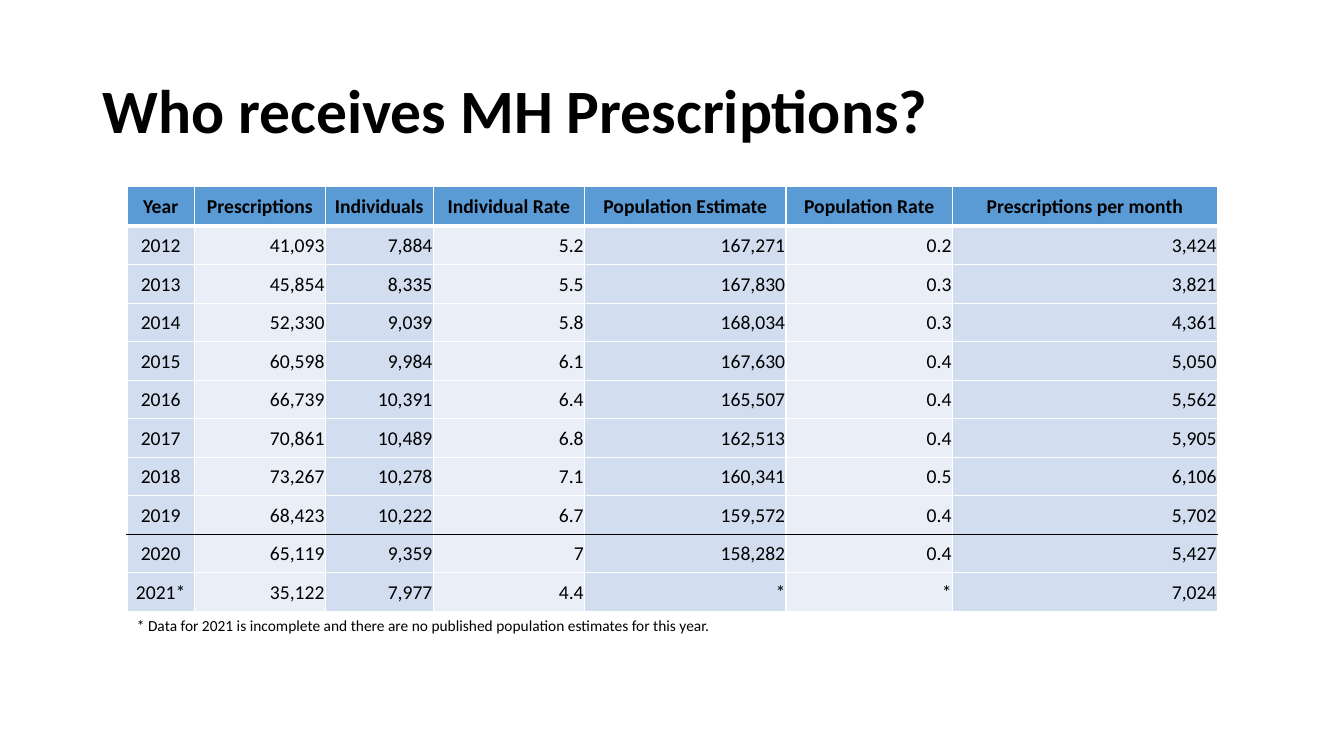
from dataclasses import dataclass

import pptx
import pptx.dml.color
import pptx.enum.text
import pptx.oxml
import pptx.oxml.ns
import pptx.util

Cm = pptx.util.Cm
Pt = pptx.util.Pt
Align = pptx.enum.text.PP_ALIGN
Anchor = pptx.enum.text.MSO_ANCHOR


@dataclass(frozen=True)
class Theme:
    font: str = "Calibri"
    ink: str = "000000"
    header: str = "5B9BD5"
    bands: tuple = ("D2DEEF", "EAEFF7")
    grid: str = "FFFFFF"
    title_size: int = 44
    table_size: int = 14
    note_size: int = 11


THEME = Theme()

HEADINGS = ["Year", "Prescriptions", "Individuals", "Individual Rate",
            "Population Estimate", "Population Rate", "Prescriptions per month"]
YEARS = [
    ["2012", "41,093", "7,884", "5.2", "167,271", "0.2", "3,424"],
    ["2013", "45,854", "8,335", "5.5", "167,830", "0.3", "3,821"],
    ["2014", "52,330", "9,039", "5.8", "168,034", "0.3", "4,361"],
    ["2015", "60,598", "9,984", "6.1", "167,630", "0.4", "5,050"],
    ["2016", "66,739", "10,391", "6.4", "165,507", "0.4", "5,562"],
    ["2017", "70,861", "10,489", "6.8", "162,513", "0.4", "5,905"],
    ["2018", "73,267", "10,278", "7.1", "160,341", "0.5", "6,106"],
    ["2019", "68,423", "10,222", "6.7", "159,572", "0.4", "5,702"],
    ["2020", "65,119", "9,359", "7", "158,282", "0.4", "5,427"],
    ["2021*", "35,122", "7,977", "4.4", "*", "*", "7,024"],
]
COLUMN_WIDTHS = [1.7, 3.3, 2.72, 3.81, 5.08, 4.19, 6.68]
HEADER_HEIGHT, ROW_HEIGHT = 1, 0.97
TABLE_LEFT, TABLE_TOP = 3.2, 4.7
TABLE_WIDTH = sum(COLUMN_WIDTHS)
TABLE_HEIGHT = HEADER_HEIGHT + ROW_HEIGHT * len(YEARS)

# Rules between rows that differ from the grid: row above -> (colour, points)
SPECIAL_RULES = {0: (THEME.grid, 3), 8: (THEME.ink, 1)}


def write(para, text, size, bold=False, align=Align.LEFT):
    para.alignment = align
    span = para.add_run()
    span.text = text
    span.font.name = THEME.font
    span.font.size = Pt(size)
    span.font.bold = bold
    span.font.color.rgb = pptx.dml.color.RGBColor.from_string(THEME.ink)


def add_title(page, text):
    box = page.shapes.title
    box.left, box.top, box.width, box.height = Cm(2.33), Cm(1.01), Cm(29.21), Cm(3.68)
    box.text_frame.vertical_anchor = Anchor.MIDDLE
    para = box.text_frame.paragraphs[0]
    para.line_spacing = 0.9
    write(para, text, THEME.title_size, bold=True)


def set_border(cell, side, colour, points):
    cell._tc.get_or_add_tcPr().append(pptx.oxml.parse_xml(
        f'<a:ln{side} {pptx.oxml.ns.nsdecls("a")} w="{Pt(points)}">'
        f'<a:solidFill><a:srgbClr val="{colour}"/></a:solidFill></a:ln{side}>'))


def format_cell(cell, text, row, column):
    # Borders precede the fill in the cell properties
    plain = (THEME.grid, 1)
    borders = {"L": plain, "R": plain,
               "T": SPECIAL_RULES.get(row - 1, plain),
               "B": SPECIAL_RULES.get(row, plain)}
    for side, (colour, points) in borders.items():
        set_border(cell, side, colour, points)
    is_header = row == 0
    fill = THEME.header if is_header else THEME.bands[column % 2]
    cell.fill.solid()
    cell.fill.fore_color.rgb = pptx.dml.color.RGBColor.from_string(fill)

    cell.margin_left = cell.margin_right = cell.margin_top = Cm(0.02)
    cell.margin_bottom = 0
    cell.vertical_anchor = Anchor.MIDDLE
    align = Align.CENTER if is_header or column == 0 else Align.RIGHT
    write(cell.text_frame.paragraphs[0], text, THEME.table_size, is_header, align)


def add_prescription_table(page):
    rows = [HEADINGS] + YEARS
    table = page.shapes.add_table(
        len(rows), len(HEADINGS), Cm(TABLE_LEFT), Cm(TABLE_TOP),
        Cm(TABLE_WIDTH), Cm(TABLE_HEIGHT)).table
    table.horz_banding = False
    for column, width in zip(table.columns, COLUMN_WIDTHS):
        column.width = Cm(width)
    for row, texts in enumerate(rows):
        table.rows[row].height = Cm(ROW_HEIGHT if row else HEADER_HEIGHT)
        for column, text in enumerate(texts):
            format_cell(table.cell(row, column), text, row, column)


def add_note(page, text):
    box = page.shapes.add_textbox(Cm(TABLE_LEFT), Cm(TABLE_TOP + TABLE_HEIGHT),
                                  Cm(TABLE_WIDTH), Cm(0.73))
    box.text_frame.word_wrap = True
    write(box.text_frame.paragraphs[0], text, THEME.note_size)


def main():
    deck = pptx.Presentation()
    deck.slide_width, deck.slide_height = Cm(33.87), Cm(19.05)
    page = deck.slides.add_slide(deck.slide_layouts.get_by_name("Title Only"))
    add_title(page, "Who receives MH Prescriptions?")
    add_prescription_table(page)
    add_note(page, "* Data for 2021 is incomplete and there are no published "
                   "population estimates for this year.")
    deck.save("out.pptx")


if __name__ == "__main__":
    main()
